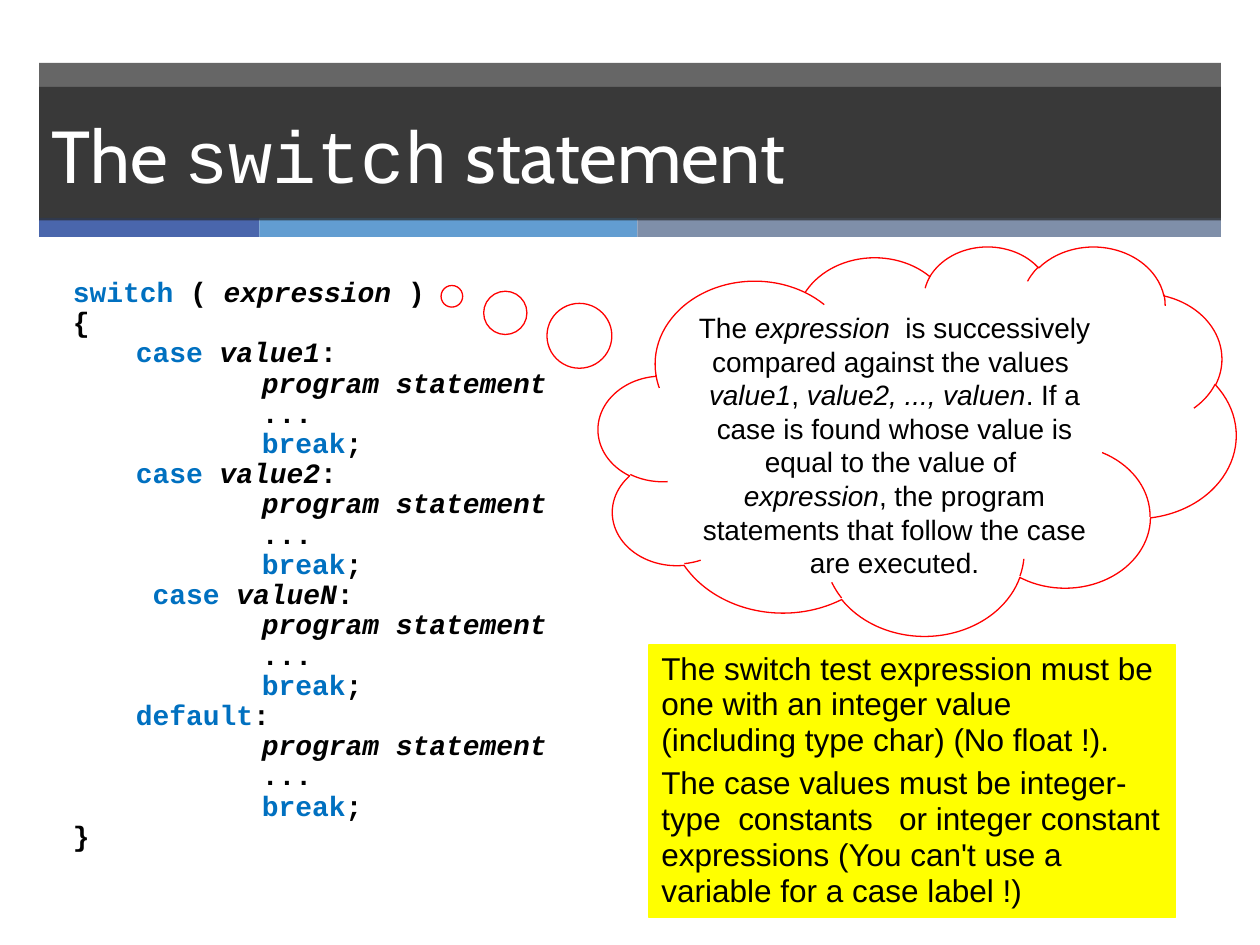
from lxml.etree import SubElement
from pptx import Presentation
from pptx.dml.color import RGBColor
from pptx.enum.shapes import MSO_SHAPE as SHAPE
from pptx.enum.text import MSO_ANCHOR as ANCHOR, PP_ALIGN as ALIGN
from pptx.oxml.ns import qn
from pptx.util import Inches, Pt

BLACK, WHITE, BLUE, RED, YELLOW, DARK = "000000", "FFFFFF", "0070C0", "FF0000", "FFFF00", "262626"
KEYWORD = {"color": BLUE}
ITALIC = {"italic": True}

TITLE = [("The ", {}), ("switch", {"font": "Courier New"}), (" statement", {})]
STRIPES = [(1.75, "4A66AC"), (3, "629DD1"), (4.63, "7F8FA9")]
LABELS = [
    [("case ", KEYWORD), ("value1", ITALIC), (":", {})],
    [("case ", KEYWORD), ("value2", ITALIC), (":", {})],
    [(" ", {}), ("case ", KEYWORD), ("valueN", ITALIC), (":", {})],
    [("default", KEYWORD), (":", {})],
]
BODY = [
    [("program statement", ITALIC)],
    [("...", {})],
    [("break", KEYWORD), (";", {})],
]
HEAD = [
    [("switch", KEYWORD), (" ( ", {}), ("expression ", ITALIC), (")", {})],
    [("{", {})],
]
TAIL = [[("}", {})]]
THOUGHT = [
    ("The ", {}), ("expression  ", ITALIC),
    ("is successively compared against the values  ", {}),
    ("value1", ITALIC), (", ", {}), ("value2, ..., valuen", ITALIC),
    (". If a case is found whose value is equal to the value of  ", {}),
    ("expression", ITALIC),
    (", the program statements that follow the case are executed.", {}),
]
RULES = [
    "The switch test expression must be one with an integer value  (including type char) (No float !).",
    "The case values must be integer-type  constants   or integer constant expressions "
    "(You can't use a variable for a case label !)",
]


def rgb(value):
    return RGBColor.from_string(value)


def add_run(paragraph, text, font="Arial", size=16, color=BLACK, bold=False, italic=False):
    run = paragraph.add_run()
    run.text = text
    run.font.name = font
    run.font.size = Pt(size)
    run.font.bold = bold
    run.font.italic = italic
    run.font.color.rgb = rgb(color)


def write(frame, paragraphs, indents=None, align=ALIGN.LEFT, line_spacing=1.0, space_before=0, **base):
    frame.word_wrap = True
    for index, runs in enumerate(paragraphs):
        paragraph = frame.add_paragraph() if index else frame.paragraphs[0]
        paragraph.alignment = align
        paragraph.line_spacing = line_spacing
        paragraph.space_before = Pt(space_before)
        if indents and indents[index]:
            paragraph._p.get_or_add_pPr().set("marL", str(Inches(indents[index])))
        for text, changes in runs:
            add_run(paragraph, text, **{**base, **changes})


def paint(shape, color, opacity=100):
    shape.fill.solid()
    shape.fill.fore_color.rgb = rgb(color)
    if opacity < 100:
        color_node = shape.fill._xPr.find(qn("a:solidFill"))[0]
        SubElement(color_node, qn("a:alpha")).set("val", str(opacity * 1000))


def add_shape(slide, kind, left, top, width, height, fill=None, line=None, opacity=100):
    shape = slide.shapes.add_shape(kind, Inches(left), Inches(top), Inches(width), Inches(height))
    shape.shadow.inherit = False
    if fill:
        paint(shape, fill, opacity)
    else:
        shape.fill.background()
    if line:
        shape.line.color.rgb = rgb(line)
        shape.line.width = Pt(0.75)
    else:
        shape.line.fill.background()
    return shape


def add_header(slide):
    left = 0.31
    add_shape(slide, SHAPE.RECTANGLE, left, 0.5, 9.38, 1.24, DARK, opacity=70)
    stripe_left = left
    for width, color in STRIPES:
        add_shape(slide, SHAPE.RECTANGLE, stripe_left, 1.73, width, 0.15, color)
        stripe_left += width
    title = slide.shapes.title
    title.left, title.top, title.width, title.height = map(Inches, (left, 0.69, 9.38, 1.06))
    paint(title, DARK, 70)
    title.text_frame.vertical_anchor = ANCHOR.MIDDLE
    write(title.text_frame, [TITLE], font="Cabin", size=42, color=WHITE)
    title._element.getparent().append(title._element)


def add_code(slide):
    lines = [(0, runs) for runs in HEAD]
    for label in LABELS:
        lines.append((0.5, label))
        lines += [(1.5, runs) for runs in BODY]
    lines += [(0, runs) for runs in TAIL]
    indents, paragraphs = zip(*lines)
    box = slide.shapes.add_textbox(Inches(0.48), Inches(2.16), Inches(7.68), Inches(4.71))
    write(box.text_frame, paragraphs, indents, line_spacing=0.9, font="Courier New", bold=True)


def add_notes(slide):
    cloud = add_shape(slide, SHAPE.CLOUD_CALLOUT, 4.75, 1.95, 5.06, 3.09, line=RED)
    cloud.adjustments[0], cloud.adjustments[1] = -0.73, -0.37
    cloud.text_frame.vertical_anchor = ANCHOR.TOP
    write(cloud.text_frame, [THOUGHT], align=ALIGN.CENTER)

    panel = add_shape(slide, SHAPE.RECTANGLE, 5.15, 5.12, 4.18, 2.16, YELLOW, YELLOW)
    panel.text_frame.vertical_anchor = ANCHOR.TOP
    write(panel.text_frame, [[(rule, {})] for rule in RULES], line_spacing=0.95, space_before=4, size=18)


def main():
    presentation = Presentation()
    presentation.slide_width, presentation.slide_height = Inches(10), Inches(7.5)
    slide = presentation.slides.add_slide(presentation.slide_layouts[5])
    add_header(slide)
    add_code(slide)
    add_notes(slide)
    presentation.save("out.pptx")


if __name__ == "__main__":
    main()
